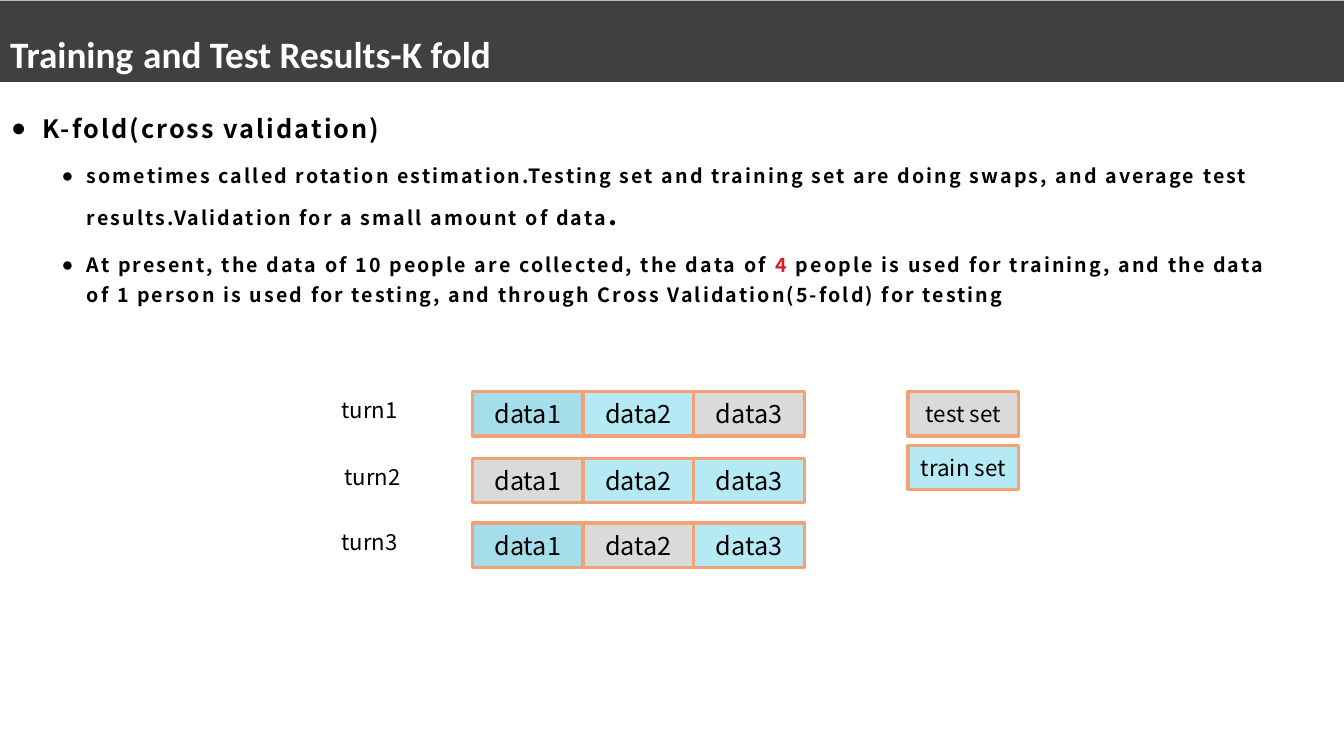
from dataclasses import dataclass

from pptx import Presentation
from pptx.dml.color import RGBColor
from pptx.enum import shapes, text
from pptx.oxml.ns import qn
from pptx.util import Pt
from lxml import etree

TITLE = ["Training", " ", "and Test Results-K fold"]
# Each point: indent level, then runs of (text, size role, colour role)
POINTS = [
    (0, [("K-fold(cross validation)", "heading", "ink")]),
    (1, [("sometimes called rotation estimation.Testing set and training set "
          "are doing swaps, and average test results.Validation for a small "
          "amount of data", "detail", "ink"),
         (".", "stop", "ink")]),
    (1, [("At present, the data of 10 people are collected, the data of ",
          "detail", "ink"),
         ("4 ", "detail", "accent"),
         ("people is used for training, and the data of 1 person is used for "
          "testing, and through Cross Validation(5-fold) for testing",
          "detail", "ink")]),
]
# Each turn: label, label left, top, role of every data block
TURNS = [
    ("turn1", 236.9, 279.8, ["train_deep", "train", "test"]),
    ("turn2", 239, 327.6, ["test", "train", "train"]),
    ("turn3", 236.9, 373.6, ["train_deep", "test", "train"]),
]
LEGEND = [("test set", "test"), ("train set", "train")]


@dataclass(frozen=True)
class Theme:
    body_font = "Noto Sans CJK SC"
    title_font = "Calibri"
    gap_font = "League Spartan"
    sizes = {"title": 26.6, "title_gap": 28, "heading": 18, "detail": 14,
             "stop": 20, "block": 18, "legend": 16, "turn": 15.8}
    colours = {"ink": "000000", "accent": "DA1F28", "bar": "404040",
               "title": "FFFFFF", "title_gap": "878BB8", "edge": "F3A276",
               "train_deep": "A6DDEA", "train": "B5E9F4", "test": "DADADA"}


THEME = Theme()
SLIDE_W, SLIDE_H = 960, 540
BLOCK_W, BLOCK_H = 79, 31.7
BLOCKS_LEFT, LEGEND_LEFT, LEGEND_STEP = 337.5, 648.6, 38.3
INDENTS = [(22.5, -22.5), (54, -18)]


def colour(role):
    return RGBColor.from_string(THEME.colours[role])


def place(shape, left, top, width, height):
    shape.left, shape.top = Pt(left), Pt(top)
    shape.width, shape.height = Pt(width), Pt(height)


def write(paragraph, words, size, ink="ink", font=THEME.body_font, bold=False,
          align=text.PP_ALIGN.LEFT, spacing=None):
    """Append one formatted run; spacing is the tracking in points."""
    paragraph.alignment = align
    run = paragraph.add_run()
    run.text = words
    run.font.size = Pt(THEME.sizes[size])
    run.font.name = font
    run.font.bold = bold
    run.font.color.rgb = colour(ink)
    if spacing:
        run.font._element.set("spc", str(round(spacing * 100)))


def bullet(paragraph, level):
    paragraph.level = level
    properties = paragraph._p.get_or_add_pPr()
    margin, hanging = INDENTS[level]
    properties.set("marL", str(Pt(margin)))
    properties.set("indent", str(Pt(hanging)))
    etree.SubElement(properties, qn("a:buFont")).set("typeface", "Arial")
    etree.SubElement(properties, qn("a:buChar")).set("char", "●")


def add_title(title):
    place(title, 0, 0.4, SLIDE_W, 58.2)
    title.fill.solid()
    title.fill.fore_color.rgb = colour("bar")
    frame = title.text_frame
    frame.auto_size = text.MSO_AUTO_SIZE.NONE
    frame.vertical_anchor = text.MSO_ANCHOR.MIDDLE
    heading = frame.paragraphs[0]
    heading.line_spacing = 1.5
    heading.space_before = Pt(0)
    for words in TITLE:
        if words.strip():
            write(heading, words, "title", "title", THEME.title_font, bold=True)
        else:
            write(heading, words, "title_gap", "title_gap", THEME.gap_font)


def add_points(body):
    place(body, 0, 74.2, 922.3, 464.4)
    frame = body.text_frame
    frame.auto_size = text.MSO_AUTO_SIZE.NONE
    frame.vertical_anchor = text.MSO_ANCHOR.TOP
    frame.margin_left, frame.margin_right = Pt(8), Pt(6.5)
    frame.margin_top = frame.margin_bottom = 0
    for index, (level, runs) in enumerate(POINTS):
        point = frame.paragraphs[0] if index == 0 else frame.add_paragraph()
        point.line_spacing = 1.3
        point.space_before, point.space_after = Pt(0), Pt(10)
        bullet(point, level)
        for words, size, ink in runs:
            write(point, words, size, ink, bold=True, spacing=1.5)


def add_block(parent, words, role, left, top, size):
    block = parent.add_shape(shapes.MSO_SHAPE.RECTANGLE, Pt(left), Pt(top),
                             Pt(BLOCK_W), Pt(BLOCK_H))
    block.shadow.inherit = False
    block.fill.solid()
    block.fill.fore_color.rgb = colour(role)
    block.line.color.rgb = colour("edge")
    block.line.width = Pt(2.25)
    block.text_frame.vertical_anchor = text.MSO_ANCHOR.MIDDLE
    write(block.text_frame.paragraphs[0], words, size,
          align=text.PP_ALIGN.CENTER)


def add_turn(slide, label, label_left, top, roles):
    row = slide.shapes.add_group_shape()
    for column, role in enumerate(roles):
        add_block(row.shapes, f"data{column + 1}", role,
                  BLOCKS_LEFT + column * BLOCK_W, top, "block")
    caption = slide.shapes.add_textbox(Pt(label_left), Pt(top), Pt(62), Pt(26.6))
    caption.text_frame.word_wrap = True
    write(caption.text_frame.paragraphs[0], label, "turn")


def main():
    deck = Presentation()
    deck.slide_width, deck.slide_height = Pt(SLIDE_W), Pt(SLIDE_H)
    slide = deck.slides.add_slide(deck.slide_layouts[1])
    add_title(slide.shapes.title)
    add_points(slide.placeholders[1])
    for turn in TURNS:
        add_turn(slide, *turn)
    legend_top = TURNS[0][2]
    for index, (words, role) in enumerate(LEGEND):
        add_block(slide.shapes, words, role, LEGEND_LEFT,
                  legend_top + index * LEGEND_STEP, "legend")
    deck.save("out.pptx")


if __name__ == "__main__":
    main()
